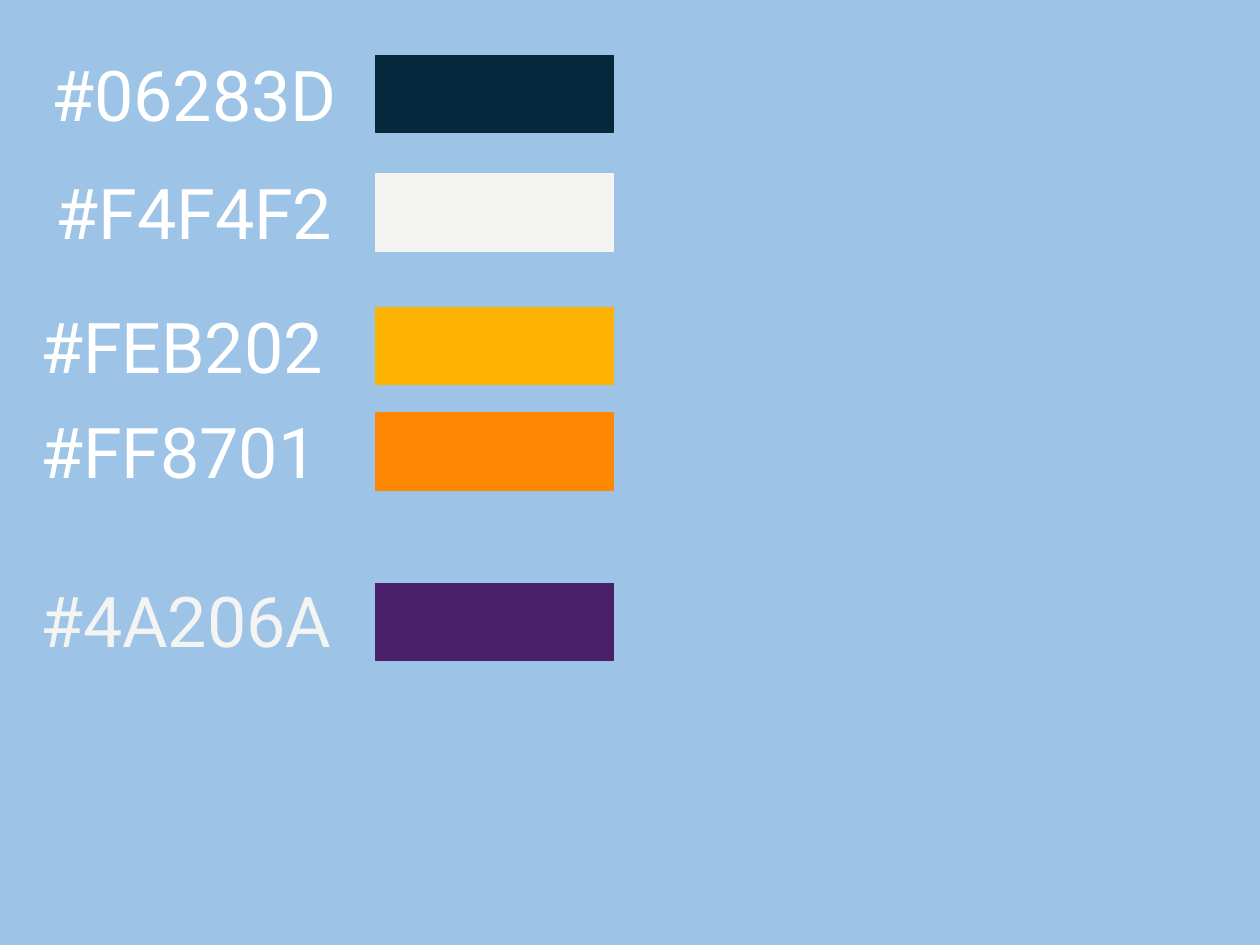
from pptx import Presentation
from pptx.dml.color import RGBColor
from pptx.enum.shapes import MSO_SHAPE
from pptx.enum.text import MSO_AUTO_SIZE, PP_ALIGN
from pptx.util import Inches, Pt

SKY = RGBColor(0x9D, 0xC3, 0xE6)
WHITE = RGBColor(0xFF, 0xFF, 0xFF)
NAVY = RGBColor(0x06, 0x28, 0x3D)
PEARL = RGBColor(0xF4, 0xF4, 0xF2)
AMBER = RGBColor(0xFE, 0xB2, 0x02)
ORANGE = RGBColor(0xFF, 0x87, 0x01)
PURPLE = RGBColor(0x4A, 0x20, 0x6A)

CENTER = (-0.48, 4.04, PP_ALIGN.CENTER)
LEFT = (0.22, 3.26, PP_ALIGN.LEFT)


def add_label(slide, column, top, height, lines):
    """Write colour codes, one (colour, ink) pair a paragraph."""
    left, width, align = column
    box = slide.shapes.add_textbox(
        Inches(left), Inches(top), Inches(width), Inches(height))
    frame = box.text_frame
    frame.word_wrap = True
    frame.auto_size = MSO_AUTO_SIZE.SHAPE_TO_FIT_TEXT
    frame.text = "\n".join(f"#{color}" for color, ink in lines)
    for para, (color, ink) in zip(frame.paragraphs, lines):
        para.alignment = align
        font = para.runs[0].font
        font.name = "Roboto"
        font.size = Pt(40)
        font.color.rgb = ink
    for para in frame.paragraphs[1:]:
        para.space_before = Pt(49)


def add_swatch(slide, top, color):
    """Draw one colour sample in the swatch column."""
    swatch = slide.shapes.add_shape(
        MSO_SHAPE.RECTANGLE,
        Inches(2.98), Inches(top), Inches(1.89), Inches(0.61))
    swatch.shadow.inherit = False
    swatch.fill.solid()
    swatch.fill.fore_color.rgb = color
    swatch.line.color.rgb = color
    swatch.line.width = Pt(1)


def add_row(slide, column, top, color):
    """Place a code and its swatch side by side."""
    add_label(slide, column, top, 0.77, [(color, WHITE)])
    add_swatch(slide, top + 0.08, color)


def add_pair(slide, top):
    """Place the last two codes in one box, with their swatches."""
    add_label(slide, LEFT, top, 2.79, [(ORANGE, WHITE), (PURPLE, PEARL)])
    add_swatch(slide, top + 0.09, ORANGE)
    add_swatch(slide, top + 1.44, PURPLE)


def build_palette(deck):
    """Build the palette slide."""
    slide = deck.slides.add_slide(deck.slide_layouts[6])
    slide.background.fill.solid()
    slide.background.fill.fore_color.rgb = SKY
    add_row(slide, CENTER, 0.36, NAVY)
    add_row(slide, CENTER, 1.3, PEARL)
    add_row(slide, LEFT, 2.36, AMBER)
    add_pair(slide, 3.19)


deck = Presentation()
deck.slide_width = Inches(10)
deck.slide_height = Inches(7.5)
build_palette(deck)
deck.save("out.pptx")
